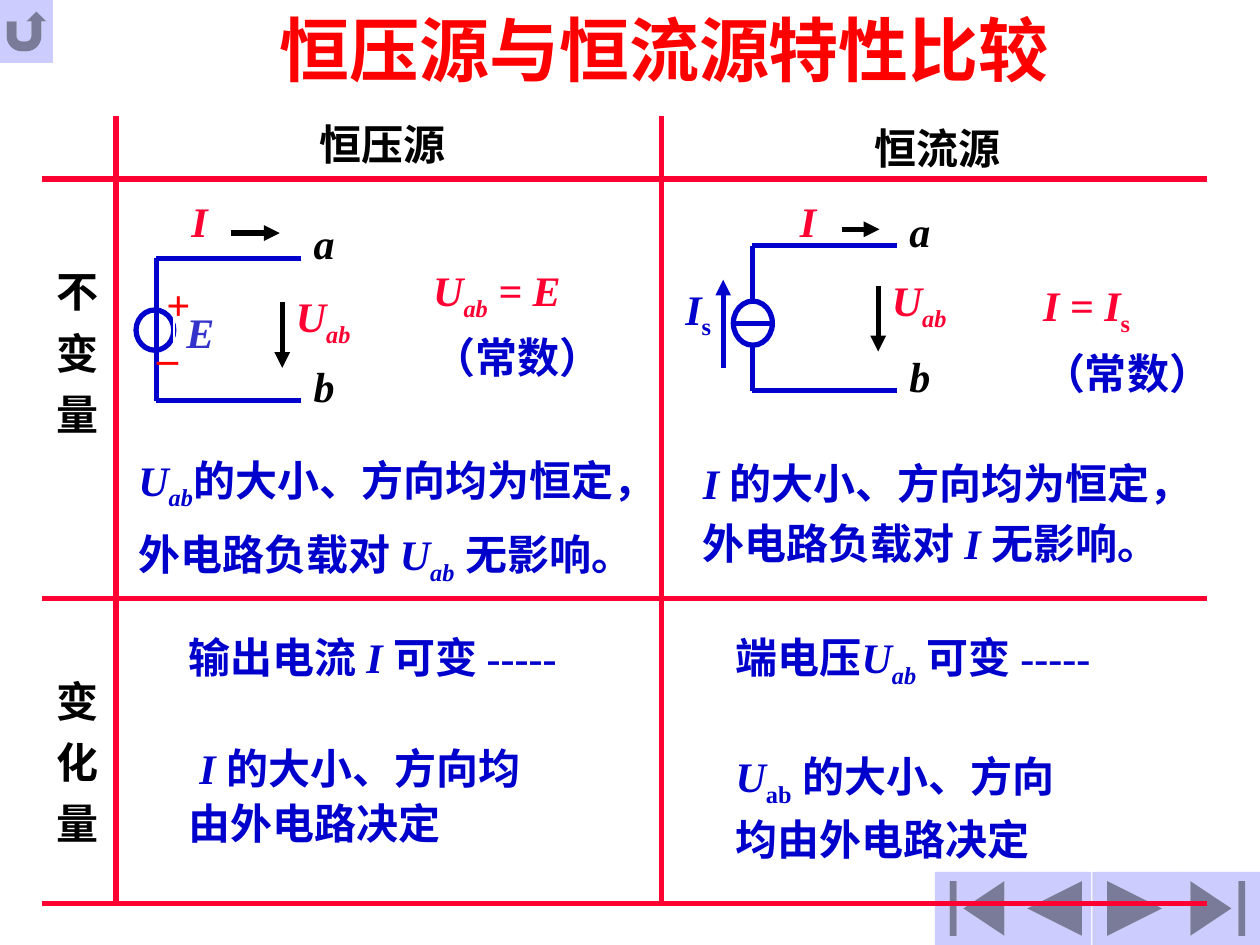
from dataclasses import dataclass

from lxml.etree import SubElement
from pptx import Presentation
from pptx.dml.color import RGBColor
from pptx.enum.shapes import MSO_CONNECTOR, MSO_SHAPE as Shape
from pptx.enum.text import MSO_AUTO_SIZE
from pptx.oxml.ns import qn
from pptx.util import Inches, Pt


@dataclass(frozen=True)
class Theme:
    font: str = "Times New Roman"
    title: int = 40
    body: int = 24
    stroke: int = 3
    red: str = "FF0000"
    crimson: str = "FF0033"
    blue: str = "0000CC"
    violet: str = "3333CC"
    black: str = "000000"
    white: str = "FFFFFF"
    button: str = "CCCCFF"


T = Theme()
rgb = RGBColor.from_string
U_AB = [("U", "i"), ("ab", "is")]


def add_run(p, text, style, color, size):
    """Style letters: i italic, s subscript, w wide letter spacing."""
    r = p.add_run()
    r.text = text
    f = r.font
    f.name, f.size, f.bold, f.italic = T.font, Pt(size), True, "i" in style
    f.color.rgb = rgb(color)
    rPr = r._r.get_or_add_rPr()
    if "s" in style:
        rPr.set("baseline", "-25000")
    if "w" in style:
        rPr.set("spc", "1100")


def add_text(s, box, *paras, size=T.body, spacing=None, gaps=None, vertical=False):
    """Each paragraph is (color, runs); gaps maps paragraph index to points before."""
    sp = s.shapes.add_textbox(*map(Inches, box))
    tf = sp.text_frame
    tf.word_wrap, tf.auto_size = not vertical, MSO_AUTO_SIZE.SHAPE_TO_FIT_TEXT
    if vertical:
        tf._txBody.bodyPr.set("vert", "eaVert")
        tf.margin_left = tf.margin_right = Inches(0.05)
        tf.margin_top = tf.margin_bottom = Inches(0.1)
    for i, (color, runs) in enumerate(paras):
        p = tf.add_paragraph() if i else tf.paragraphs[0]
        if spacing:
            p.line_spacing = spacing
        if gaps and i in gaps:
            p.space_before = Pt(gaps[i])
        for text, style in runs:
            add_run(p, text, style, color, size)
    return sp


def add_line(s, x1, y1, x2, y2, color=T.blue, arrow=False):
    c = s.shapes.add_connector(MSO_CONNECTOR.STRAIGHT, *map(Inches, (x1, y1, x2, y2)))
    c.line.color.rgb, c.line.width = rgb(color), Pt(T.stroke)
    if arrow:
        SubElement(c.line._get_or_add_ln(), qn("a:tailEnd"), type="triangle")
    SubElement(c._element.spPr, qn("a:effectLst"))


def add_circle(s, x, y, w, h):
    sp = s.shapes.add_shape(Shape.OVAL, *map(Inches, (x, y, w, h)))
    sp.shadow.inherit = False
    sp.fill.solid()
    sp.fill.fore_color.rgb = rgb(T.white)
    sp.line.color.rgb, sp.line.width = rgb(T.blue), Pt(T.stroke)


def navigation(s):
    top, h = 6.92, 0.58
    for kind, box in (
        (Shape.ACTION_BUTTON_RETURN, (0, 0, 0.42, 0.5)),
        (Shape.ACTION_BUTTON_BACK_OR_PREVIOUS, (8.08, top, 0.58, h)),
        (Shape.ACTION_BUTTON_FORWARD_OR_NEXT, (8.67, top, 0.67, h)),
        (Shape.ACTION_BUTTON_BEGINNING, (7.42, top, 0.67, h)),
        (Shape.ACTION_BUTTON_END, (9.33, top, 0.67, h)),
    ):
        sp = s.shapes.add_shape(kind, *map(Inches, box))
        sp.shadow.inherit = False
        sp.fill.solid()
        sp.fill.fore_color.rgb = rgb(T.button)
        sp.line.fill.background()


def comparison_grid(s, left, top, right, bottom):
    for y in (top + 0.5, top + 3.83, bottom):
        add_line(s, left, y, right, y, T.crimson)
    for x in (5.25, 0.92):
        add_line(s, x, top, x, bottom, T.crimson)
    for x, y, text in ((2.44, top - 0.03, "恒压源"), (6.84, top, "恒流源")):
        add_text(s, (x, y, 1.25, 0.5), (T.black, [(text, "")]))
    for y, text in ((2.05, "不变量"), (5.3, "变化量")):
        add_text(s, (left - 0.08, y, 0.6, 1.41),
                 (T.black, [(text[:-1], "w"), (text[-1], "")]), vertical=True)


def terminals(s, x, y, h, current, arrow, drop, formula):
    """Wires, terminals and labels, placed from the upper left corner of the loop."""
    w = 1.15
    for wire_y in (y, y + h):
        add_line(s, x, wire_y, x + w, wire_y)
    x1, x2, arrow_y = arrow
    add_line(s, x + x1, y + arrow_y, x + x2, y + arrow_y, T.black, True)
    add_line(s, x + 1, y + drop, x + 1, y + drop + 0.52, T.black, True)
    for name, label_y in (("a", y), ("b", y + h)):
        add_text(s, (x + w, label_y - 0.37, 0.4, 0.5), (T.black, [(name, "i")]))
    add_text(s, (x + current, 1.5, 0.36, 0.5), (T.crimson, [("I", "i")]))
    add_text(s, (x + 1.01, y + drop - 0.14, 0.7, 0.56), (T.crimson, U_AB))
    fx, fy, runs = formula
    add_text(s, (x + fx, y + fy, 1.6, 1.13), (T.crimson, runs),
             (T.blue, [("（常数）", "")]), spacing=1.2)


def voltage_source(s, x, y):
    h = 1.13
    add_circle(s, x - 0.16, y + 0.41, 0.3, 0.32)
    add_line(s, x, y, x, y + h)
    label = add_text(s, (x + 0.14, y + 0.33, 0.42, 0.5), (T.violet, [("E", "i")]))
    label.line.color.rgb, label.line.width = rgb(T.white), Pt(1)
    add_text(s, (x - 0.02, y + 0.11, 0.42, 0.5), (T.red, [("+", "i")]))
    add_text(s, (x - 0.07, y + 0.42, 0.4, 0.5), (T.red, [("_", "i")]))
    terminals(s, x, y, h, 0.18, (0.59, 0.98, -0.2), 0.35,
              (2.1, -0.09, U_AB + [(" = E", "i")]))


def current_source(s, x, y):
    h = 1.15
    terminals(s, x, y, h, 0.28, (0.71, 1.01, -0.13), 0.32,
              (2.21, 0.13, [("I = I", "i"), ("s", "s")]))
    add_circle(s, x - 0.15, y + 0.44, 0.31, 0.35)
    add_line(s, x - 0.15, y + 0.62, x + 0.16, y + 0.62)
    add_line(s, x, y + 0.44, x, y)
    add_line(s, x, y + h, x, y + 0.79)
    add_line(s, x - 0.23, y + 0.97, x - 0.23, y + 0.27, arrow=True)
    add_text(s, (x - 0.63, y + 0.25, 0.48, 0.56), (T.blue, [("I", "i"), ("s", "s")]))


def statement(s, box, spacing, *lines, gaps=None):
    add_text(s, box, *((T.blue, runs) for runs in lines), spacing=spacing, gaps=gaps)


def constant_statements(s, top):
    statement(s, (1, top, 4.45, 1.29), 1.3,
              U_AB + [("的大小、方向均为恒定，", "")],
              [("外电路负载对 ", "")] + U_AB + [(" 无影响。", "")])
    statement(s, (5.48, top + 0.08, 4.25, 1.06), 1.2,
              [("I ", "i"), ("的大小、方向均为恒定，", "")],
              [("外电路负载对 ", ""), ("I ", "i"), ("无影响。", "")])


def variable_statements(s, top):
    gaps = {1: 32}
    statement(s, (1.4, top, 3.45, 1.86), 1.1,
              [("输出电流 ", ""), ("I ", "i"), ("可变 -----", "")],
              [(" ", ""), ("I ", "i"), ("的大小、方向均", "")],
              [("由外电路决定", "")], gaps=gaps)
    statement(s, (5.74, top, 3.35, 1.98), 1.1,
              [("端电压", "")] + U_AB + [(" 可变 -----", "")],
              [("U", "i"), ("ab", "s"), (" 的大小、方向", "")],
              [("均由外电路决定", "")], gaps=gaps)


def main():
    prs = Presentation()
    prs.slide_width, prs.slide_height = Inches(10), Inches(7.5)
    s = prs.slides.add_slide(prs.slide_layouts[6])
    navigation(s)
    add_text(s, (2.12, 0, 6.4, 0.77), (T.red, [("恒压源与恒流源特性比较", "")]), size=T.title)
    comparison_grid(s, 0.33, 0.92, 9.58, 7.17)
    voltage_source(s, 1.24, 2.05)
    current_source(s, 5.97, 1.95)
    constant_statements(s, 3.42)
    variable_statements(s, 4.92)
    prs.save("out.pptx")


if __name__ == "__main__":
    main()
